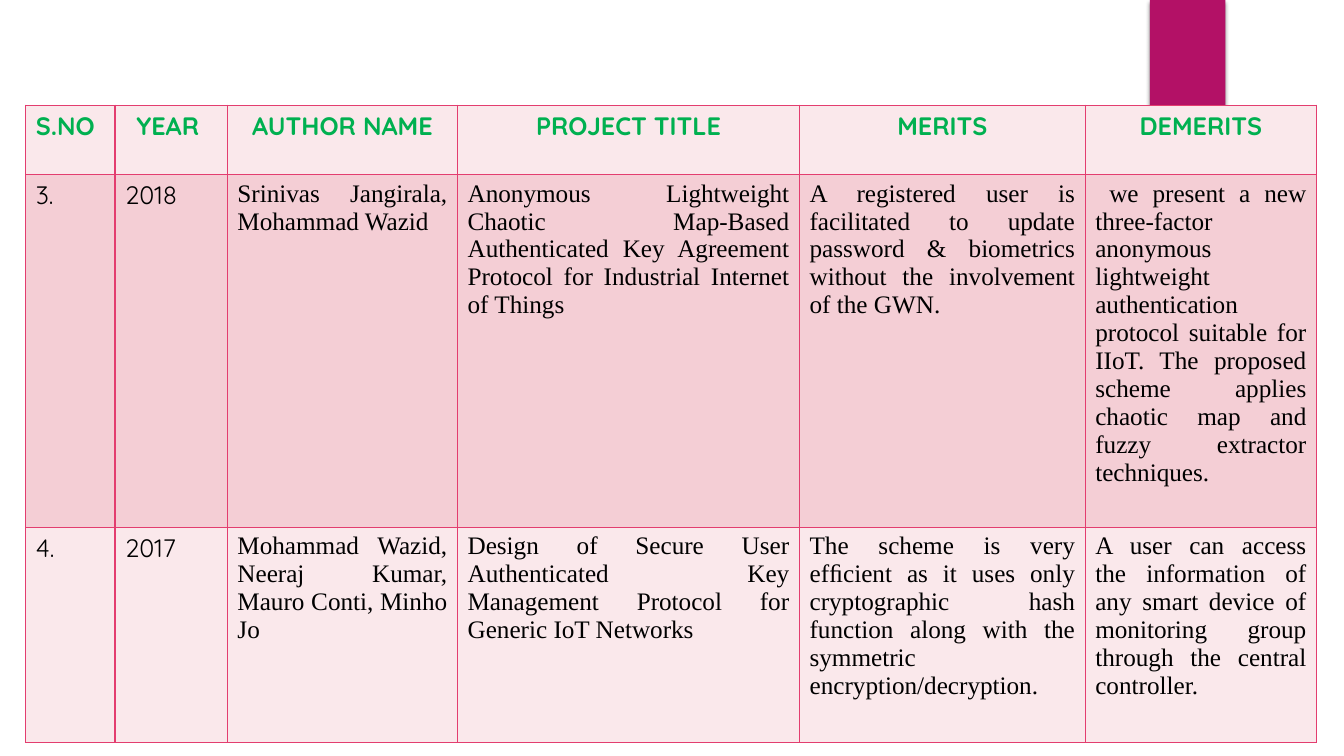
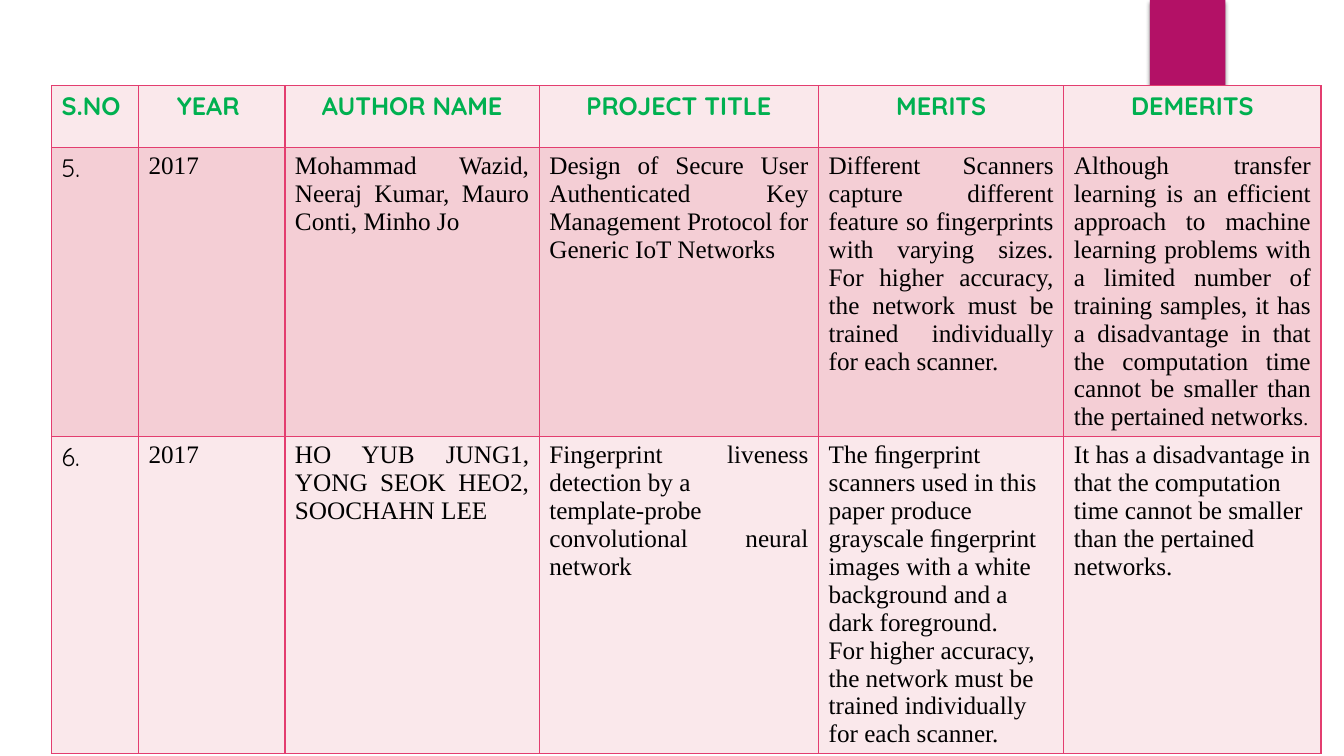
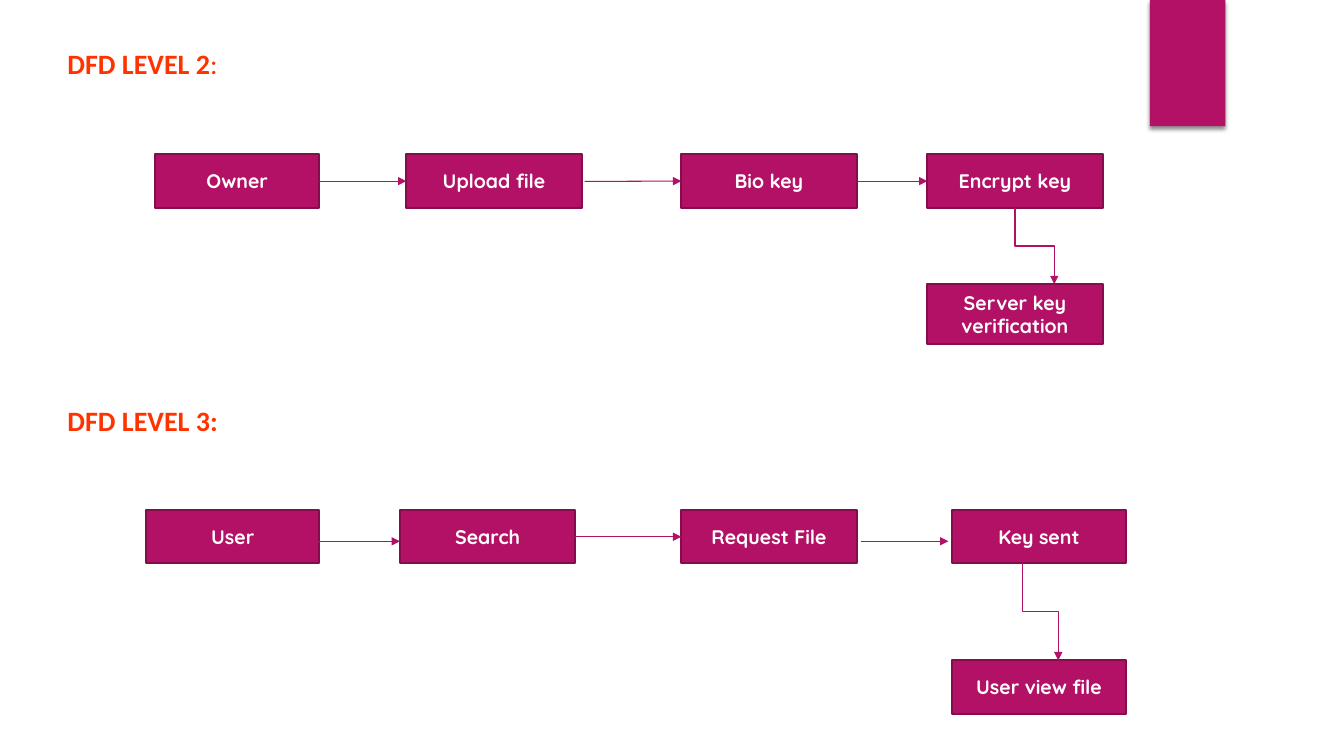
import dataclasses

import lxml.etree
import pptx
import pptx.dml.color
import pptx.enum.shapes
import pptx.enum.text
import pptx.oxml.ns
import pptx.util

Cm = pptx.util.Cm
Pt = pptx.util.Pt
qn = pptx.oxml.ns.qn
ALIGN = pptx.enum.text.PP_ALIGN
ANCHOR = pptx.enum.text.MSO_ANCHOR
CONNECTOR = pptx.enum.shapes.MSO_CONNECTOR
LEFT_SIDE, RIGHT_SIDE = 1, 3


@dataclasses.dataclass(frozen=True)
class Theme:
    accent: str = "B31166"
    accent_dark: str = "840D4B"
    grid: str = "E33D6F"
    row_light: str = "FAE8EB"
    row_dark: str = "F4CED5"
    table_head: str = "00B050"
    heading: str = "FF3300"
    ink: str = "000000"
    white: str = "FFFFFF"
    sans: str = "Quicksand"
    serif: str = "Times New Roman"
    heading_font: str = "Calibri"
    heading_size: int = 20
    table_size: int = 18
    step_size: int = 14
    small_size: int = 14
    step_border: float = 1.5
    arrow_width: float = 0.75
    grid_width: int = 1


THEME = Theme()


@dataclasses.dataclass(frozen=True)
class Entry:
    paragraphs: tuple
    font: str = THEME.serif
    align: ALIGN = ALIGN.JUSTIFY
    small_tail: str = ""


HEADINGS = ("S.NO", "YEAR ", "AUTHOR NAME", "PROJECT TITLE", "MERITS", "DEMERITS")
WAZID_AUTHORS = "Mohammad Wazid, Neeraj Kumar, Mauro Conti, Minho Jo"
WAZID_TITLE = (
    "Design of Secure User Authenticated Key Management Protocol "
    "for Generic IoT Networks"
)


def sans(text):
    return Entry((text,), font=THEME.sans)


def serif(*paragraphs, **options):
    return Entry(paragraphs, **options)


SURVEY_2018 = (
    (
        sans("3."),
        sans("2018"),
        serif("Srinivas Jangirala, Mohammad Wazid"),
        serif(
            "Anonymous Lightweight Chaotic Map-Based Authenticated Key Agreement "
            "Protocol for Industrial Internet of Things"
        ),
        serif(
            "A registered user is facilitated to update password & biometrics "
            "without the involvement of the GWN. "
        ),
        serif(
            " we present a new three-factor anonymous lightweight authentication "
            "protocol suitable for IIoT. The proposed scheme applies chaotic map "
            "and fuzzy extractor techniques."
        ),
    ),
    (
        sans("4."),
        sans("2017"),
        serif(WAZID_AUTHORS),
        serif(WAZID_TITLE),
        serif(
            "The scheme is very efﬁcient as it uses only cryptographic hash function "
            "along with the symmetric encryption/decryption."
        ),
        serif(
            "A user can access the information of any smart device of monitoring "
            "group through the central controller."
        ),
    ),
)

SURVEY_2017 = (
    (
        sans("5."),
        serif("2017"),
        serif(WAZID_AUTHORS),
        serif(WAZID_TITLE),
        serif(
            "Different Scanners capture different feature so fingerprints with "
            "varying sizes. For higher accuracy, the network must be trained "
            "individually for each scanner."
        ),
        serif(
            "Although transfer learning is an efficient approach to machine learning "
            "problems with ",
            "a limited number of training samples, it has a disadvantage in that the "
            "computation time cannot be smaller than the pertained networks",
            small_tail=".",
        ),
    ),
    (
        sans("6."),
        serif("2017"),
        serif("HO YUB JUNG1, YONG SEOK HEO2, SOOCHAHN LEE"),
        serif(
            "Fingerprint liveness detection by a",
            "template-probe convolutional neural network",
        ),
        serif(
            "The ﬁngerprint scanners used in this paper produce grayscale ﬁngerprint "
            "images with a white background and a dark foreground.",
            "For higher accuracy, the network must be trained individually for each "
            "scanner.",
            align=ALIGN.LEFT,
        ),
        serif(
            "It has a disadvantage in that the computation time cannot be smaller "
            "than the pertained networks.",
            align=ALIGN.LEFT,
        ),
    ),
)


def rgb(value):
    return pptx.dml.color.RGBColor.from_string(value)


def paint(fill, color):
    fill.solid()
    fill.fore_color.rgb = rgb(color)


def add_run(paragraph, text, font, size, color, bold=False):
    run = paragraph.add_run()
    run.text = text
    run.font.name = font
    run.font.size = Pt(size)
    run.font.bold = bold
    run.font.color.rgb = rgb(color)


def add_block(slide, left, top, width, height):
    block = slide.shapes.add_shape(
        pptx.enum.shapes.MSO_SHAPE.RECTANGLE, Cm(left), Cm(top), Cm(width), Cm(height)
    )
    block.shadow.inherit = False
    paint(block.fill, THEME.accent)
    return block


def add_ribbon(slide):
    ribbon = add_block(slide, 28.98, 0, 1.9, 3.18)
    ribbon.line.fill.background()
    effects = ribbon._element.spPr.find(qn("a:effectLst"))
    shadow = lxml.etree.SubElement(
        effects, qn("a:outerShdw"), blurRad=str(Pt(3)), dist=str(Pt(2)),
        dir="5400000", rotWithShape="0",
    )
    color = lxml.etree.SubElement(shadow, qn("a:srgbClr"), val=THEME.ink)
    lxml.etree.SubElement(color, qn("a:alpha"), val="45000")


def new_slide(deck):
    slide = deck.slides.add_slide(deck.slide_layouts[6])
    add_ribbon(slide)
    return slide


def border_cell(cell):
    properties = cell._tc.get_or_add_tcPr()
    for side in ("lnL", "lnR", "lnT", "lnB"):
        line = lxml.etree.SubElement(
            properties, qn(f"a:{side}"), w=str(Pt(THEME.grid_width))
        )
        fill = lxml.etree.SubElement(line, qn("a:solidFill"))
        lxml.etree.SubElement(fill, qn("a:srgbClr"), val=THEME.grid)


def fill_cell(cell, entry, background, color, bold):
    border_cell(cell)
    paint(cell.fill, background)
    frame = cell.text_frame
    for index, text in enumerate(entry.paragraphs):
        paragraph = frame.add_paragraph() if index else frame.paragraphs[0]
        paragraph.alignment = entry.align
        add_run(paragraph, text, entry.font, THEME.table_size, color, bold)
    if entry.small_tail:
        add_run(paragraph, entry.small_tail, entry.font, THEME.small_size, color, bold)


def add_survey(slide, left, top, widths, heights, studies):
    survey = slide.shapes.add_table(
        len(heights), len(widths), Cm(left), Cm(top), Cm(sum(widths)), Cm(sum(heights))
    ).table
    survey.first_row = False
    survey.horz_banding = False
    for column, width in zip(survey.columns, widths):
        column.width = Cm(width)
    for row, height in zip(survey.rows, heights):
        row.height = Cm(height)
    header = [
        Entry((text,), THEME.sans, ALIGN.CENTER if index else ALIGN.LEFT)
        for index, text in enumerate(HEADINGS)
    ]
    for row_index, entries in enumerate((header, *studies)):
        background = THEME.row_dark if row_index % 2 else THEME.row_light
        is_header = row_index == 0
        color = THEME.table_head if is_header else THEME.ink
        for column_index, entry in enumerate(entries):
            cell = survey.cell(row_index, column_index)
            fill_cell(cell, entry, background, color, is_header)


def add_heading(slide, top, height, inset, *parts):
    heading = slide.shapes.add_textbox(Cm(1.45), Cm(top), Cm(4.9), Cm(height))
    frame = heading.text_frame
    frame.word_wrap = True
    frame.vertical_anchor = ANCHOR.TOP
    frame.margin_top = Cm(inset)
    for text, bold in parts:
        add_run(
            frame.paragraphs[0], text, THEME.heading_font, THEME.heading_size,
            THEME.heading, bold,
        )


def add_step(slide, text, left, top, width, height=1.35):
    step = add_block(slide, left, top, width, height)
    step.line.color.rgb = rgb(THEME.accent_dark)
    step.line.width = Pt(THEME.step_border)
    frame = step.text_frame
    frame.word_wrap = True
    frame.vertical_anchor = ANCHOR.MIDDLE
    paragraph = frame.paragraphs[0]
    paragraph.alignment = ALIGN.CENTER
    add_run(paragraph, text, THEME.sans, THEME.step_size, THEME.white, True)
    return step


def add_steps(slide, top, steps):
    return [add_step(slide, text, left, top, width) for text, left, width in steps]


def style_arrow(arrow):
    arrow.line.color.rgb = rgb(THEME.accent)
    arrow.line.width = Pt(THEME.arrow_width)
    line = arrow.line._get_or_add_ln()
    lxml.etree.SubElement(line, qn("a:tailEnd"), type="triangle")
    lxml.etree.SubElement(arrow._element.spPr, qn("a:effectLst"))


def add_arrow(slide, start, end):
    """Each end is a step to join or an (x, y) point in centimetres."""
    start_point = start if isinstance(start, tuple) else (0, 0)
    end_point = end if isinstance(end, tuple) else (0, 0)
    arrow = slide.shapes.add_connector(
        CONNECTOR.STRAIGHT, *(Cm(value) for value in start_point + end_point)
    )
    if not isinstance(start, tuple):
        arrow.begin_connect(start, RIGHT_SIDE)
    if not isinstance(end, tuple):
        arrow.end_connect(end, LEFT_SIDE)
    style_arrow(arrow)


def add_drop_arrow(slide, x1, y1, x2, y2):
    middle_x, middle_y = (x1 + x2) / 2, (y1 + y2) / 2
    half_run, half_drop = (x2 - x1) / 2, (y2 - y1) / 2
    arrow = slide.shapes.add_connector(
        CONNECTOR.ELBOW,
        Cm(middle_x + half_drop), Cm(middle_y - half_run),
        Cm(middle_x - half_drop), Cm(middle_y + half_run),
    )
    arrow._element.spPr.find(qn("a:xfrm")).set("rot", "16200000")
    style_arrow(arrow)


def add_owner_flow(slide):
    add_heading(slide, 1.04, 1.88, 0.13, ("DFD LEVEL 2", True), (":", False))
    owner, upload, bio_key, encrypt = add_steps(slide, 3.89, (
        ("Owner", 3.91, 4.14),
        ("Upload file", 10.24, 4.42),
        ("Bio key", 17.17, 4.42),
        ("Encrypt key", 23.37, 4.42),
    ))
    add_step(slide, "Server key verification", 23.37, 7.16, 4.42, 1.52)
    add_arrow(slide, owner, upload)
    add_arrow(slide, (14.73, 4.57), bio_key)
    add_arrow(slide, bio_key, encrypt)
    add_drop_arrow(slide, 25.58, 5.24, 26.57, 7.16)


def add_user_flow(slide):
    add_heading(slide, 9.53, 2.36, 0.63, ("DFD LEVEL 3:", True))
    user, search, request, key_sent = add_steps(slide, 12.85, (
        ("User", 3.68, 4.37),
        ("Search", 10.08, 4.42),
        ("Request File", 17.17, 4.42),
        ("Key sent", 24, 4.37),
    ))
    add_step(slide, "User view file", 24, 16.64, 4.37)
    add_arrow(slide, (7.87, 13.64), (10.08, 13.64))
    add_arrow(slide, search, request)
    add_arrow(slide, (21.69, 13.64), (23.9, 13.64))
    add_drop_arrow(slide, 25.78, 14.2, 26.67, 16.64)


def main():
    deck = pptx.Presentation()
    deck.slide_width = Cm(33.87)
    deck.slide_height = Cm(19.05)
    add_survey(
        new_slide(deck), 0.65, 2.65, (2.25, 2.83, 5.8, 8.62, 7.2, 5.83),
        (1.75, 8.89, 5.41), SURVEY_2018,
    )
    add_survey(
        new_slide(deck), 1.3, 2.16, (2.19, 3.69, 6.41, 7.04, 6.18, 6.48),
        (1.55, 7.26, 7.98), SURVEY_2017,
    )
    flows = new_slide(deck)
    add_owner_flow(flows)
    add_user_flow(flows)
    deck.save("out.pptx")


if __name__ == "__main__":
    main()
